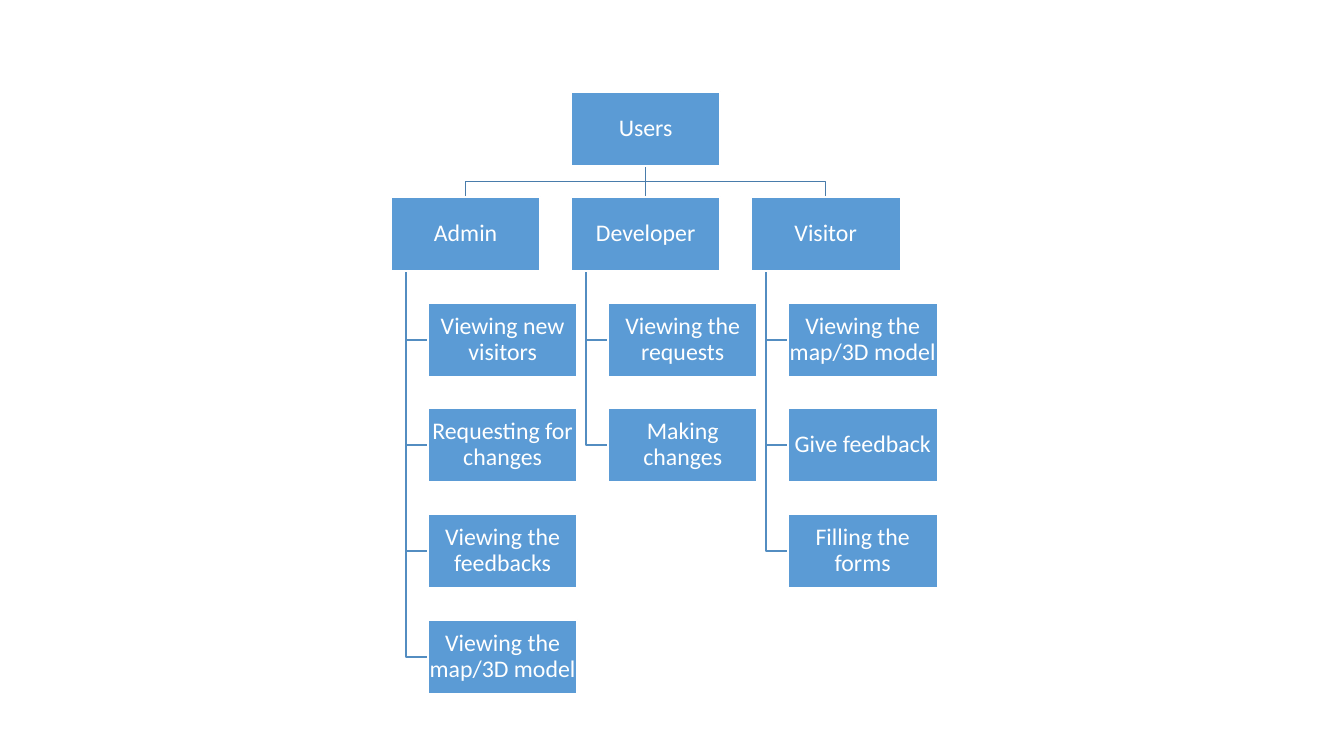
from pptx import Presentation
from pptx.dml.color import RGBColor
from pptx.enum.shapes import MSO_CONNECTOR, MSO_SHAPE
from pptx.enum.text import MSO_ANCHOR, PP_ALIGN
from pptx.oxml.ns import qn
from pptx.util import Inches, Pt
from lxml.etree import SubElement

ROOT = "Users"
ROLES = {
    "Admin": ["Viewing new visitors", "Requesting for changes",
              "Viewing the feedbacks", "Viewing the map/3D model"],
    "Developer": ["Viewing the requests", "Making changes"],
    "Visitor": ["Viewing the map/3D model", "Give feedback", "Filling the forms"],
}
COLORS = {"box": "5B9BD5", "edge": "FFFFFF", "text": "FFFFFF",
          "role_line": "497CAB", "task_line": "538DC1"}
FONT = "Calibri"
SCALE = Inches(1) / 100.8

BOX_WIDTH, BOX_HEIGHT = 149, 74
FIRST_LEFT, COLUMN_STEP = 391, 180
FIRST_TOP, LAST_TOP, ROW_STEPS = 92, 620, 5
TASK_INDENT, TRUNK_INDENT = 37, 15


def emu(pixels):
    return round(pixels * SCALE)


def color(name):
    return RGBColor.from_string(COLORS[name])


def row_top(row):
    return FIRST_TOP + (LAST_TOP - FIRST_TOP) * row // ROW_STEPS


def column_left(column):
    return FIRST_LEFT + COLUMN_STEP * column


def add_box(page, text, left, row):
    box = page.shapes.add_shape(MSO_SHAPE.RECTANGLE, emu(left), emu(row_top(row)),
                                emu(BOX_WIDTH), emu(BOX_HEIGHT))
    box.shadow.inherit = False
    box.fill.solid()
    box.fill.fore_color.rgb = color("box")
    box.line.color.rgb = color("edge")
    box.line.width = Pt(1)
    frame = box.text_frame
    frame.word_wrap = True
    frame.vertical_anchor = MSO_ANCHOR.MIDDLE
    frame.margin_left = frame.margin_right = emu(1)
    frame.margin_top = frame.margin_bottom = emu(1)
    frame.text = text
    para = frame.paragraphs[0]
    para.alignment = PP_ALIGN.CENTER
    para.line_spacing = 0.9
    span = para.runs[0]
    span.font.name = FONT
    span.font.size = Pt(17)
    span.font.color.rgb = color("text")


def add_link(page, points, color_name):
    corners = [(emu(x), emu(y)) for x, y in points]
    if len(corners) == 2:
        link = page.shapes.add_connector(MSO_CONNECTOR.STRAIGHT, *corners[0], *corners[1])
        SubElement(link._element.spPr, qn("a:effectLst"))
    else:
        builder = page.shapes.build_freeform(*corners[0])
        builder.add_line_segments(corners[1:], close=False)
        link = builder.convert_to_shape()
        link.fill.background()
        link.shadow.inherit = False
    link.line.color.rgb = color(color_name)
    link.line.width = Pt(1)


deck = Presentation()
deck.slide_width, deck.slide_height = Inches(13.33), Inches(7.5)
page = deck.slides.add_slide(deck.slide_layouts[6])

root_left = column_left(1)
root_center = root_left + BOX_WIDTH / 2
root_bottom = row_top(0) + BOX_HEIGHT
role_top = row_top(1)
role_bottom = role_top + BOX_HEIGHT
branch_y = (root_bottom + role_top) / 2

for column, tasks in enumerate(ROLES.values()):
    left = column_left(column)
    center = left + BOX_WIDTH / 2
    points = [(root_center, root_bottom), (center, role_top)]
    if center != root_center:
        points[1:1] = [(root_center, branch_y), (center, branch_y)]
    add_link(page, points, "role_line")
    trunk = left + TRUNK_INDENT
    for row in range(2, 2 + len(tasks)):
        middle = row_top(row) + BOX_HEIGHT / 2
        add_link(page, [(trunk, role_bottom), (trunk, middle),
                        (left + TASK_INDENT, middle)], "task_line")

add_box(page, ROOT, root_left, 0)
for column, (role, tasks) in enumerate(ROLES.items()):
    left = column_left(column)
    add_box(page, role, left, 1)
    for row, task in enumerate(tasks, start=2):
        add_box(page, task, left + TASK_INDENT, row)

deck.save("out.pptx")
